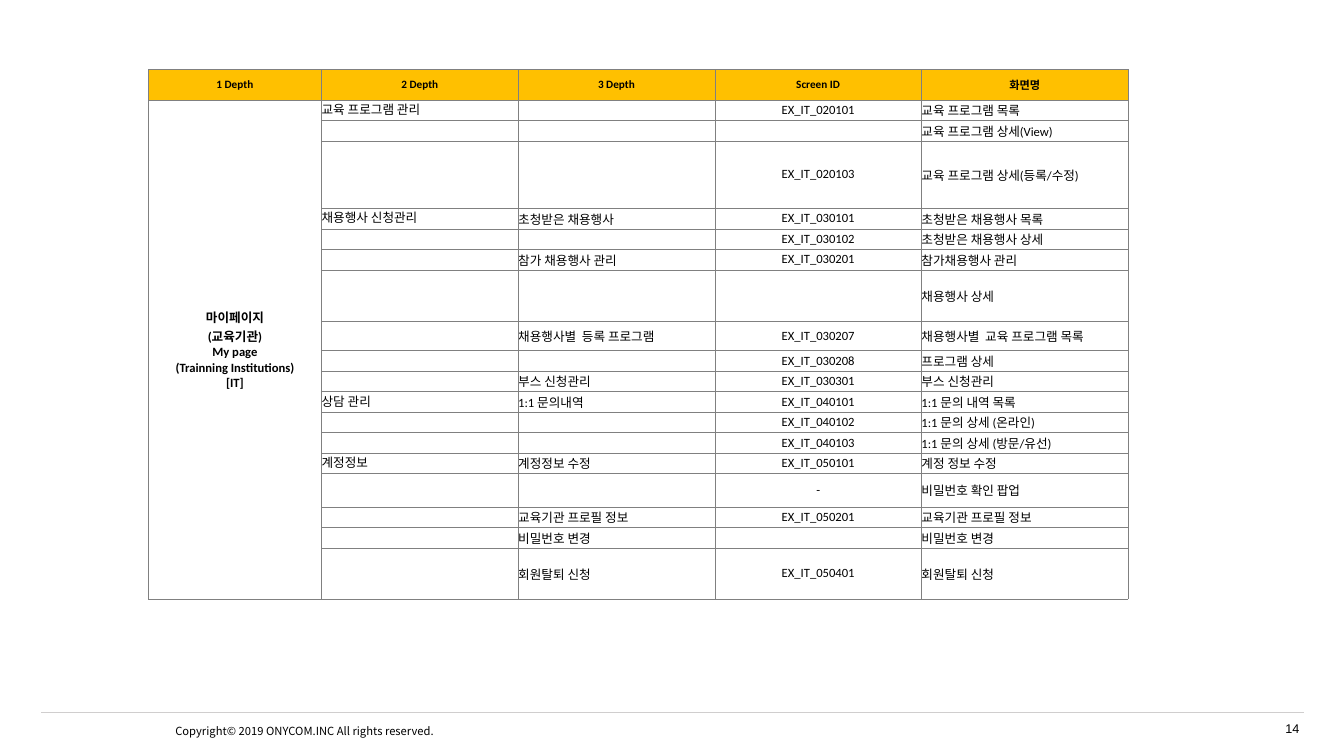
from typing import NamedTuple

from lxml.etree import SubElement
from pptx import Presentation
from pptx.dml.color import RGBColor
from pptx.enum.shapes import MSO_CONNECTOR
from pptx.enum.text import MSO_ANCHOR, PP_ALIGN
from pptx.oxml.ns import qn
from pptx.util import Inches, Pt

BLACK = RGBColor(0x00, 0x00, 0x00)
WHITE = RGBColor(0xFF, 0xFF, 0xFF)
AMBER = RGBColor(0xFF, 0xC0, 0x00)
GRID_GRAY = RGBColor(0x80, 0x80, 0x80)
RULE_GRAY = RGBColor(0xD0, 0xCE, 0xCE)
LATIN_FONT = "Calibri"
KOREAN_FONT = "Noto Sans CJK KR"

TABLE_HEIGHT = 5.26
HEADER_HEIGHT = 0.3
COLUMN_WIDTHS = (1.72, 1.95, 1.95, 2.05, 2.05)
HEADERS = ("1 Depth", "2 Depth", "3 Depth", "Screen ID", "화면명")
SECTION = "마이페이지\v(교육기관)\vMy page\v(Trainning Institutions)\v[IT]"


class Screen(NamedTuple):
    depth2: str
    depth3: str
    screen_id: str
    name: str
    height: float = 0
    font: str = LATIN_FONT


class Label(NamedTuple):
    text: str
    left: float
    top: float
    width: float
    height: float
    size: float
    font: str
    wrap: bool


SCREENS = (
    Screen("교육 프로그램 관리", "", "EX_IT_020101", "교육 프로그램 목록"),
    Screen("", "", "", "교육 프로그램 상세(View)"),
    Screen("", "", "EX_IT_020103", "교육 프로그램 상세(등록/수정)", 0.67),
    Screen("채용행사 신청관리", "초청받은 채용행사", "EX_IT_030101", "초청받은 채용행사 목록"),
    Screen("", "", "EX_IT_030102", "초청받은 채용행사 상세"),
    Screen("", "참가 채용행사 관리", "EX_IT_030201", "참가채용행사 관리"),
    Screen("", "", "", "채용행사 상세", 0.51),
    Screen("", "채용행사별  등록 프로그램", "EX_IT_030207", "채용행사별  교육 프로그램 목록", 0.29),
    Screen("", "", "EX_IT_030208", "프로그램 상세"),
    Screen("", "부스 신청관리", "EX_IT_030301", "부스 신청관리", font=KOREAN_FONT),
    Screen("상담 관리", "1:1 문의내역", "EX_IT_040101", "1:1 문의 내역 목록"),
    Screen("", "", "EX_IT_040102", "1:1 문의 상세 (온라인)"),
    Screen("", "", "EX_IT_040103", "1:1 문의 상세 (방문/유선)"),
    Screen("계정정보", "계정정보 수정", "EX_IT_050101", "계정 정보 수정"),
    Screen("", "", "-", "비밀번호 확인 팝업", 0.33),
    Screen("", "교육기관 프로필 정보", "EX_IT_050201", "교육기관 프로필 정보"),
    Screen("", "비밀번호 변경", "", "비밀번호 변경"),
    Screen("", "회원탈퇴 신청", "EX_IT_050401", "회원탈퇴 신청", 0.51),
)

LABELS = (
    Label("Copyright© 2019 ONYCOM.INC All rights reserved.",
          1.64, 7.14, 2.87, 0.24, 8, KOREAN_FONT, False),
    Label("14", 12.65, 7.1, 0.56, 0.4, 9, "Arial", True),
)


def style_paragraph(para, size: float, font: str, bold: bool = False) -> None:
    para.font.size = Pt(size)
    para.font.name = font
    para.font.bold = bold
    para.font.color.rgb = BLACK
    SubElement(para.font._element, qn("a:ea"), typeface=KOREAN_FONT)


def add_borders(cell) -> None:
    properties = cell._tc.get_or_add_tcPr()
    for index, side in enumerate(("lnL", "lnR", "lnT", "lnB")):
        line = properties.makeelement(qn(f"a:{side}"), {"w": str(Pt(0.25))})
        fill = SubElement(line, qn("a:solidFill"))
        SubElement(fill, qn("a:srgbClr"), val=str(GRID_GRAY))
        properties.insert(index, line)


def fill_cell(cell, text: str, size: float = 9, font: str = LATIN_FONT,
              bold: bool = False, centered: bool = False,
              anchor: MSO_ANCHOR = MSO_ANCHOR.MIDDLE,
              color: RGBColor = WHITE) -> None:
    cell.margin_left = cell.margin_right = cell.margin_top = cell.margin_bottom = 0
    cell.vertical_anchor = anchor
    cell.fill.solid()
    cell.fill.fore_color.rgb = color
    add_borders(cell)
    para = cell.text_frame.paragraphs[0]
    para.text = text
    para.alignment = PP_ALIGN.CENTER if centered else PP_ALIGN.LEFT
    style_paragraph(para, size, font, bold)
    if not text:
        SubElement(para._p, qn("a:endParaRPr"), sz=str(size * 100))


def add_screen_table(page) -> None:
    frame = page.shapes.add_table(
        len(SCREENS) + 1, len(HEADERS), Inches(1.47), Inches(0.69),
        Inches(sum(COLUMN_WIDTHS)), Inches(TABLE_HEIGHT))
    table = frame.table
    for column, width in zip(table.columns, COLUMN_WIDTHS):
        column.width = Inches(width)

    tall_heights = [screen.height for screen in SCREENS if screen.height]
    regular_height = ((TABLE_HEIGHT - HEADER_HEIGHT - sum(tall_heights))
                      / (len(SCREENS) - len(tall_heights)))
    table.rows[0].height = Inches(HEADER_HEIGHT)
    for column, header in enumerate(HEADERS):
        fill_cell(table.cell(0, column), header, size=8, bold=True,
                  centered=True, color=AMBER)

    for row, screen in enumerate(SCREENS, start=1):
        table.rows[row].height = Inches(screen.height or regular_height)
        fill_cell(table.cell(row, 0), SECTION if row == 1 else "",
                  bold=True, centered=True)
        fill_cell(table.cell(row, 1), screen.depth2, anchor=MSO_ANCHOR.TOP)
        fill_cell(table.cell(row, 2), screen.depth3, font=screen.font)
        fill_cell(table.cell(row, 3), screen.screen_id, centered=True)
        fill_cell(table.cell(row, 4), screen.name, font=screen.font)
    table.cell(1, 0).merge(table.cell(len(SCREENS), 0))


def add_footer_rule(page) -> None:
    rule = page.shapes.add_connector(
        MSO_CONNECTOR.STRAIGHT, Inches(0.41), Inches(7.07), Inches(12.93), Inches(7.07))
    rule.line.color.rgb = RULE_GRAY
    rule.line.width = Pt(0.5)
    SubElement(rule._element.spPr, qn("a:effectLst"))


def add_label(page, label: Label) -> None:
    box = page.shapes.add_textbox(Inches(label.left), Inches(label.top),
                                  Inches(label.width), Inches(label.height))
    box.text_frame.word_wrap = label.wrap
    para = box.text_frame.paragraphs[0]
    para.text = label.text
    style_paragraph(para, label.size, label.font)


def main() -> None:
    deck = Presentation()
    deck.slide_width = Inches(13.33)
    deck.slide_height = Inches(7.5)
    page = deck.slides.add_slide(deck.slide_layouts[6])
    add_footer_rule(page)
    for label in LABELS:
        add_label(page, label)
    add_screen_table(page)
    deck.save("out.pptx")


if __name__ == "__main__":
    main()
